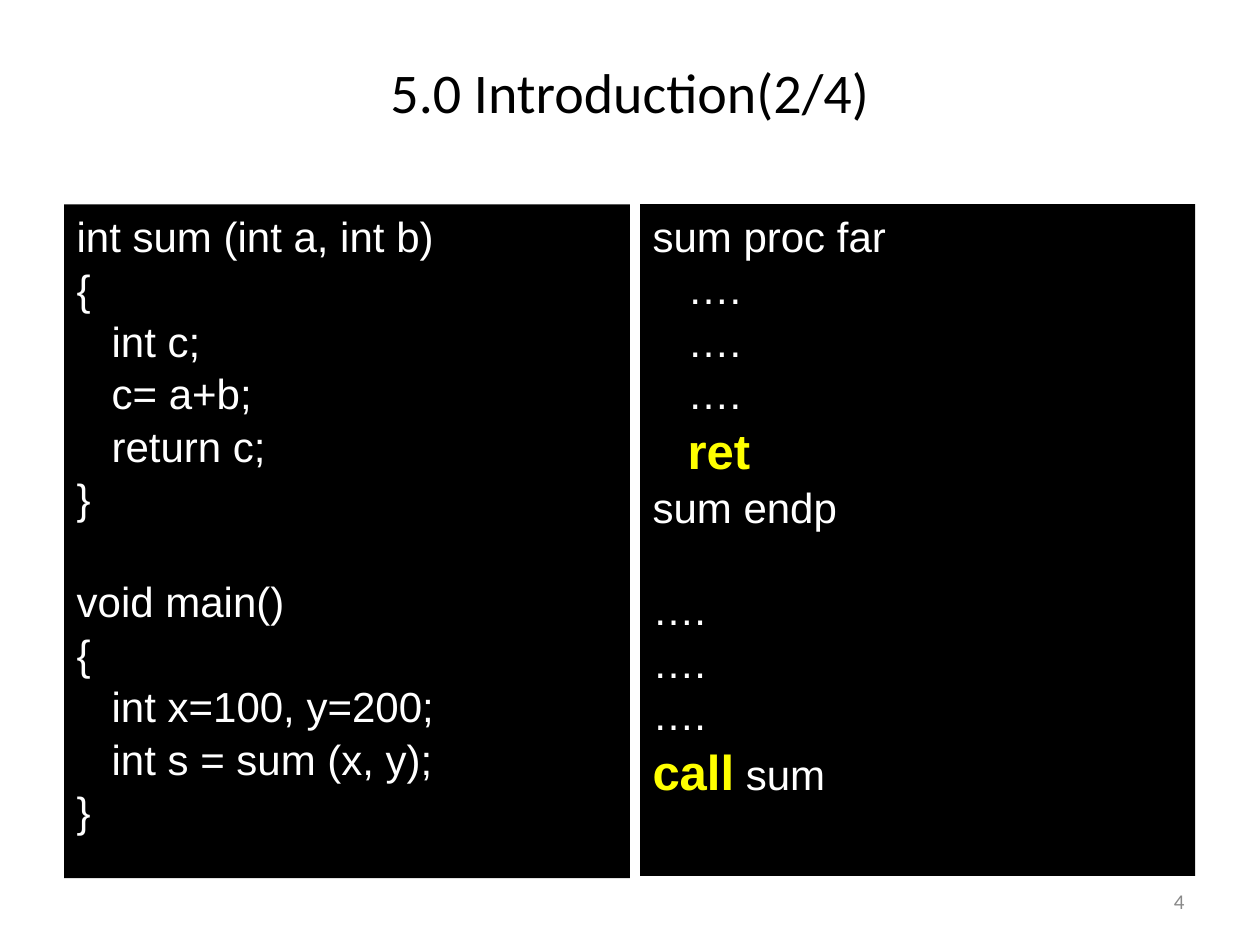
"""Build the slide comparing a C function with its assembly procedure."""
import pptx
import pptx.dml.color
import pptx.enum.shapes
import pptx.enum.text
import pptx.util

Pt = pptx.util.Pt
ALIGN = pptx.enum.text.PP_ALIGN
ANCHOR = pptx.enum.text.MSO_ANCHOR

COLORS = {"black": "000000", "white": "FFFFFF", "keyword": "FFFF00", "number": "898989"}
TITLE = "5.0 Introduction(2/4)"
SLIDE_NUMBER = "4"
KEYWORDS = ("ret", "call")
INDENT, LINE_GAP, BLOCK_GAP = 20, 1.2, 30

PANELS = [
    {
        "box": (36.7, 116.8, 323.3, 385),
        "blocks": [
            [(0, "int sum (int a, int b)"), (0, "{"), (1, "int c;"), (1, "c= a+b;"),
             (1, "return c;"), (0, "}")],
            [(0, "void main()"), (0, "{"), (1, "int x=100, y=200;"),
             (1, "int s = sum (x, y);"), (0, "}")],
        ],
    },
    {
        "box": (365.8, 116.6, 317.2, 384),
        "blocks": [
            [(0, "sum proc far"), (1, "…."), (1, "…."), (1, "…."), (1, "ret"),
             (0, "sum endp")],
            [(0, "…."), (0, "…."), (0, "…."), (0, "call sum")],
        ],
    },
]


def color(name):
    return pptx.dml.color.RGBColor.from_string(COLORS[name])


def set_font(font, name, size, color_name, bold=False):
    font.name, font.size, font.bold = name, Pt(size), bold
    font.color.rgb = color(color_name)


def write_label(frame, text, size, color_name, alignment):
    frame.word_wrap = True
    frame.vertical_anchor = ANCHOR.MIDDLE
    paragraph = frame.paragraphs[0]
    paragraph.text = text
    paragraph.alignment = alignment
    set_font(paragraph.font, "Calibri", size, color_name)


def write_line(paragraph, level, text, gap):
    paragraph.alignment = ALIGN.LEFT
    paragraph.space_before = Pt(LINE_GAP + gap)
    if level:
        paragraph._p.get_or_add_pPr().set("marL", str(Pt(INDENT * level)))
    set_font(paragraph.font, "Arial", 24, "white")
    word, space, rest = text.partition(" ")
    if word in KEYWORDS:
        run = paragraph.add_run()
        run.text = word
        set_font(run.font, "Arial", 28, "keyword", True)
        text = space + rest
    if text:
        paragraph.add_run().text = text


def add_panel(slide, box, blocks):
    shape = slide.shapes.add_shape(
        pptx.enum.shapes.MSO_SHAPE.RECTANGLE, *map(Pt, box))
    shape.shadow.inherit = False
    shape.fill.solid()
    shape.fill.fore_color.rgb = color("black")
    shape.line.fill.background()
    frame = shape.text_frame
    frame.word_wrap = True
    frame.vertical_anchor = ANCHOR.TOP
    paragraph = frame.paragraphs[0]
    for block_index, block in enumerate(blocks):
        for line_index, (level, text) in enumerate(block):
            if block_index or line_index:
                paragraph = frame.add_paragraph()
            gap = BLOCK_GAP - LINE_GAP if block_index and not line_index else 0
            write_line(paragraph, level, text, gap)


def main():
    presentation = pptx.Presentation()
    presentation.slide_width, presentation.slide_height = Pt(720), Pt(540)
    slide = presentation.slides.add_slide(presentation.slide_layouts[5])

    title = slide.shapes.title
    title.left, title.top, title.width, title.height = map(Pt, (0, 21.6, 720, 61.2))
    write_label(title.text_frame, TITLE, 32, "black", ALIGN.CENTER)

    for panel in PANELS:
        add_panel(slide, **panel)

    number = slide.shapes.add_textbox(*map(Pt, (516, 500.5, 168, 28.75)))
    write_label(number.text_frame, SLIDE_NUMBER, 12, "number", ALIGN.RIGHT)
    presentation.save("out.pptx")


if __name__ == "__main__":
    main()
